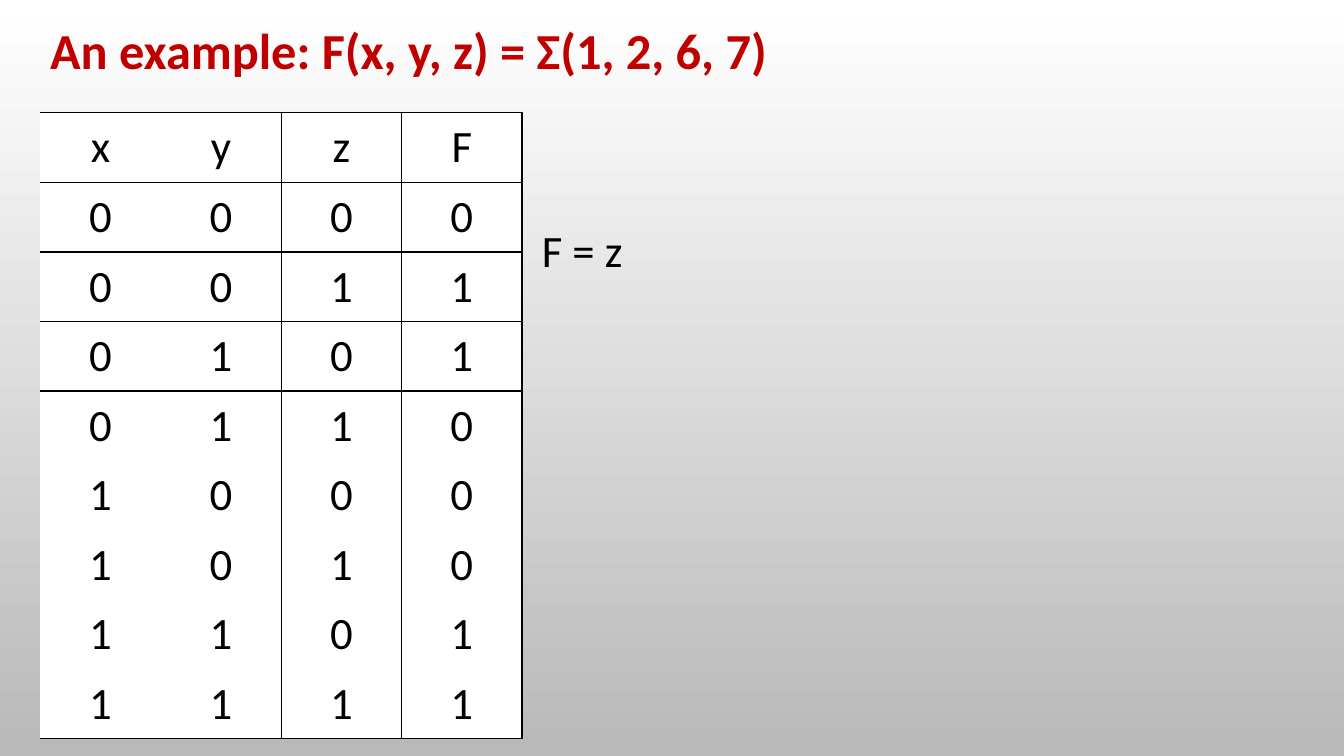
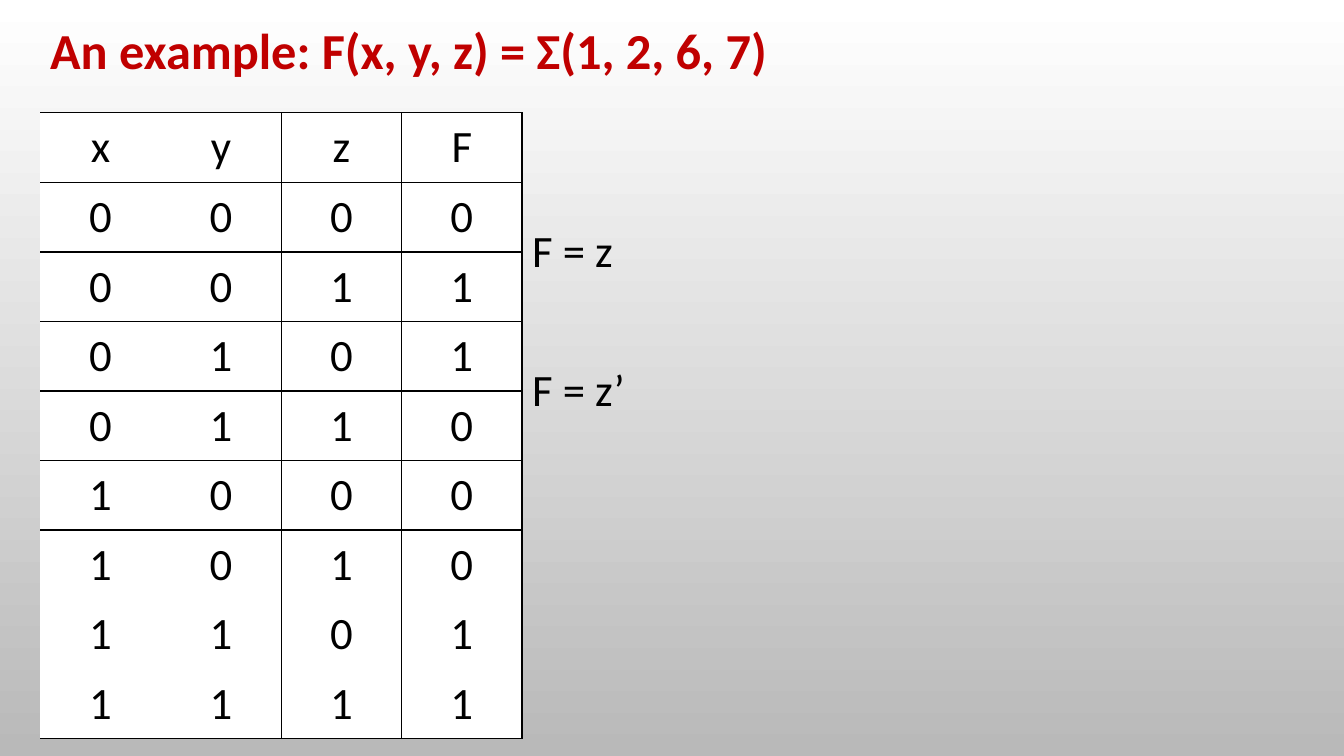
from dataclasses import dataclass

from lxml import etree
from pptx import Presentation
from pptx.dml.color import RGBColor
from pptx.enum.text import MSO_ANCHOR, MSO_AUTO_SIZE, PP_ALIGN
from pptx.oxml.ns import qn
from pptx.util import Emu, Pt

MIDDLE = MSO_ANCHOR.MIDDLE
GROW = MSO_AUTO_SIZE.SHAPE_TO_FIT_TEXT
LEFT, CENTER = PP_ALIGN.LEFT, PP_ALIGN.CENTER

PX = 4572  # EMU per px, 200 px to the inch
PLAIN_TABLE = "{2D5ABB26-0587-4C30-8999-92F81FD0307C}"  # no style, no grid


@dataclass(frozen=True)
class Theme:
    font: str = "Calibri"
    title: str = "C00000"
    ink: str = "000000"
    paper: str = "FFFFFF"
    shade: str = "B9B9B9"
    title_pt: int = 36
    body_pt: int = 32
    rule_pt: int = 1


def px(n):
    return Emu(n * PX)


class Deck:
    def __init__(self, theme):
        self.theme = theme
        self.prs = Presentation()
        self.prs.slide_width, self.prs.slide_height = px(2667), px(1500)
        self.s = None
        # Shared background, light at the top
        fill = self.prs.slide_master.background.fill
        fill.gradient()
        fill.gradient_angle = 270
        for stop, color in zip(fill.gradient_stops, (theme.paper, theme.shade)):
            stop.color.rgb = RGBColor.from_string(color)

    def slide(self, title):
        self.s = self.prs.slides.add_slide(self.prs.slide_layouts[6])
        tf = self.s.shapes.add_textbox(px(80), px(28), px(1624), px(142)).text_frame
        tf.word_wrap = True
        tf.auto_size = GROW
        self.add_text(tf.paragraphs[0], title, self.theme.title_pt, self.theme.title, True)

    def add_text(self, p, text, size, color, bold=False):
        r = p.add_run()
        r.text = text
        r.font.name = self.theme.font
        r.font.size = Pt(size)
        r.font.bold = bold
        r.font.color.rgb = RGBColor.from_string(color)

    def cell_text(self, cell, text, align):
        cell.vertical_anchor = MIDDLE
        p = cell.text_frame.paragraphs[0]
        p.alignment = align
        self.add_text(p, text, self.theme.body_pt, self.theme.ink)

    def borders(self, cell, sides):
        tcPr = cell._tc.get_or_add_tcPr()
        for side in sides:
            ln = etree.SubElement(tcPr, qn(f"a:ln{side}"), w=str(Pt(self.theme.rule_pt)))
            fill = etree.SubElement(ln, qn("a:solidFill"))
            etree.SubElement(fill, qn("a:srgbClr"), val=self.theme.ink)

    def truth_table(self, rows, rules, results, align):
        """Draw rows with a line under each row in rules; results span row pairs."""
        n_rows, n_vals = len(rows), len(rows[0])
        col_w, row_h = 239, 138
        table = self.s.shapes.add_table(
            n_rows, n_vals + 1, px(80), px(224),
            px(col_w * (n_vals + 1)), px(row_h * n_rows)).table
        table.first_row = table.horz_banding = False
        table._tbl.tblPr.find(qn("a:tableStyleId")).text = PLAIN_TABLE

        # Values, with vertical lines on both sides of z
        for i, values in enumerate(rows):
            for j, value in enumerate(values):
                cell = table.cell(i, j)
                lines = {"L": j in (2, 3), "R": j in (1, 2),
                         "T": i == 0 or i - 1 in rules, "B": i in rules}
                self.borders(cell, [side for side, on in lines.items() if on])
                cell.fill.solid()
                cell.fill.fore_color.rgb = RGBColor.from_string(self.theme.paper)
                self.cell_text(cell, value, CENTER)

        # Result beside each pair of rows
        for k, text in enumerate(results):
            top = 1 + 2 * k
            cell = table.cell(top, n_vals)
            cell.merge(table.cell(top + 1, n_vals))
            self.cell_text(cell, text, align)


def main():
    deck = Deck(Theme())
    minterms = (1, 2, 6, 7)
    rows = ["xyzF"] + [f"{n:03b}{int(n in minterms)}" for n in range(8)]
    steps = [(["F = z"], CENTER), (["F = z", "F = z’"], LEFT)]

    for results, align in steps:
        deck.slide("An example: F(x, y, z) = Σ(1, 2, 6, 7)")
        # Lines under the header, each solved pair and the last row
        rules = {0, 8} | {2 * k + 2 for k in range(len(results))}
        deck.truth_table(rows, rules, results, align)

    deck.prs.save("out.pptx")


if __name__ == "__main__":
    main()
